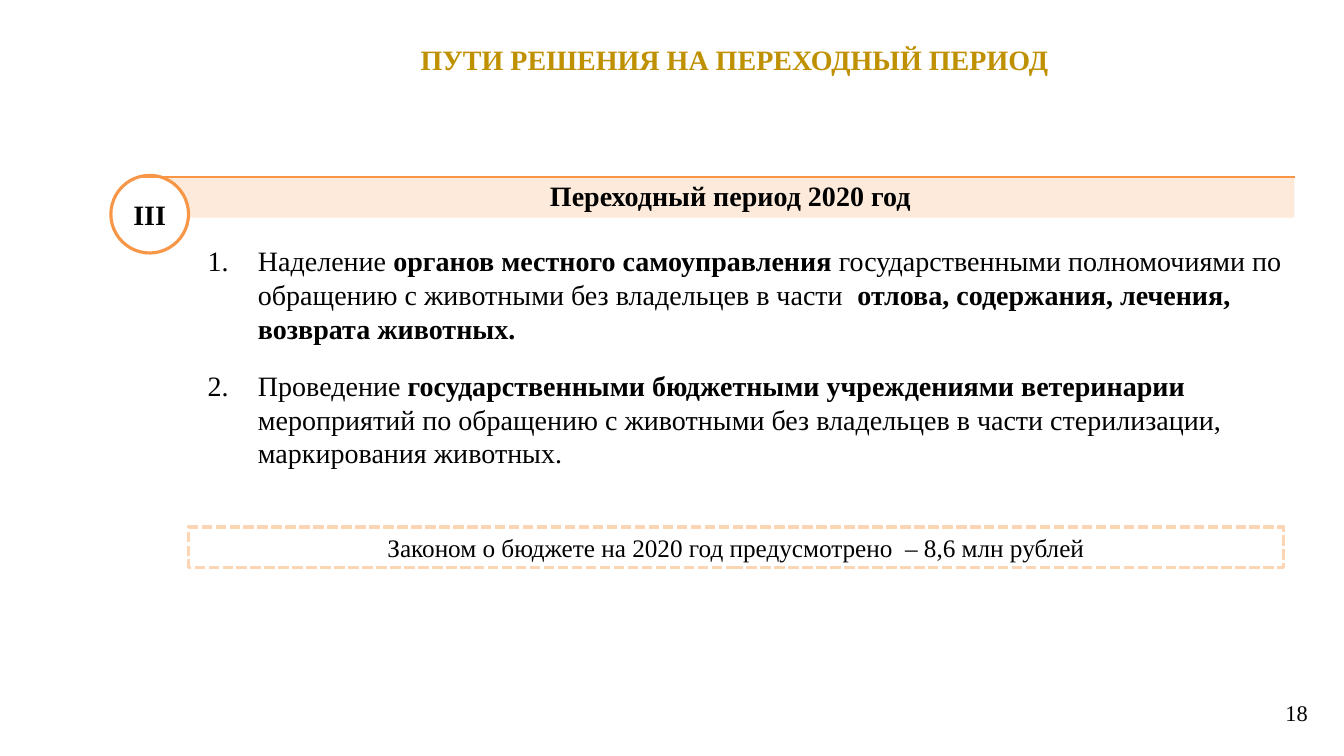
from pptx import Presentation
from pptx.dml.color import RGBColor
from pptx.enum.dml import MSO_LINE as Dash
from pptx.enum.shapes import MSO_CONNECTOR as Conn, MSO_SHAPE as Form
from pptx.enum.text import MSO_ANCHOR as Anchor, MSO_AUTO_SIZE as Fit, PP_ALIGN as Align
from pptx.oxml.ns import qn
from pptx.util import Pt
from lxml.etree import SubElement as sub

PX = 9144
FACE = "Times New Roman"
ITEMS = [
    [("Наделение ", False), ("органов местного самоуправления ", True),
     ("государственными полномочиями по обращению с животными без владельцев в части  ", False),
     ("отлова, содержания, лечения, возврата животных.", True)],
    [("Проведение ", False), ("государственными бюджетными учреждениями ветеринарии ", True),
     ("мероприятий по обращению с животными без владельцев в части стерилизации, "
      "маркирования животных.", False)],
]


def rgb(code):
    """Turn a hex string into a colour."""
    return RGBColor.from_string(code)


def box(*at):
    """Scale lengths in px to EMU."""
    return [n * PX for n in at]


def style(item, **vals):
    """Set each given value on an item."""
    for key, val in vals.items():
        setattr(item, key, val)


def write(para, text, size=20, bold=False, hue="000000"):
    """Add one styled run to a paragraph."""
    run = para.add_run()
    run.text = text
    style(run.font, name=FACE, size=Pt(size), bold=bold)
    run.font.color.rgb = rgb(hue)


def fill_text(shape, text, align=Align.CENTER, anchor=Anchor.TOP, **look):
    """Put one aligned line of text in a shape."""
    frame = shape.text_frame
    style(frame, word_wrap=True, auto_size=Fit.NONE, vertical_anchor=anchor)
    para = frame.paragraphs[0]
    para.alignment = align
    write(para, text, **look)
    return para


def add_form(slide, form, at, fill, line=None, width=0, dash=None):
    """Add a flat shape with an optional outline."""
    shape = slide.shapes.add_shape(form, *box(*at))
    shape.shadow.inherit = False
    shape.fill.solid()
    shape.fill.fore_color.rgb = rgb(fill)
    if line:
        shape.line.color.rgb = rgb(line)
        style(shape.line, width=Pt(width), dash_style=dash)
    else:
        shape.line.fill.background()
    return shape


def add_rule(slide, ends, hue, width):
    """Add a straight line without a shadow."""
    rule = slide.shapes.add_connector(Conn.STRAIGHT, *box(*ends))
    rule.line.color.rgb = rgb(hue)
    rule.line.width = Pt(width)
    sub(rule._element.spPr, qn("a:effectLst"))


def add_list(slide, at, items, gap):
    """Add a numbered list of mixed bold and plain runs."""
    frame = slide.shapes.add_textbox(*box(*at)).text_frame
    frame.word_wrap = True
    for i, runs in enumerate(items):
        para = frame.add_paragraph() if i else frame.paragraphs[0]
        props = para._p.get_or_add_pPr()
        props.set("marL", str(50 * PX))
        props.set("indent", str(-50 * PX))
        sub(props, qn("a:buFont"), typeface="+mj-lt")
        sub(props, qn("a:buAutoNum"), type="arabicPeriod")
        if i:
            para.space_before = Pt(gap)
        for text, bold in runs:
            write(para, text, bold=bold)


def main():
    """Build the slide and save it."""
    deck = Presentation()
    style(deck, slide_width=1333 * PX, slide_height=750 * PX)
    slide = deck.slides.add_slide(deck.slide_layouts[5])
    title = slide.shapes.title
    spot = dict(zip(("left", "top", "width", "height"), box(138, 37, 1181, 44)))
    style(title, **spot)
    fill_text(title, "ПУТИ РЕШЕНИЯ НА ПЕРЕХОДНЫЙ ПЕРИОД", bold=True, hue="BF9000")
    band = add_form(slide, Form.RECTANGLE, (158, 176, 1126, 40), "FDEADA")
    para = fill_text(band, " Переходный период 2020 год", bold=True)
    para.line_spacing = 0.9
    add_list(slide, (196, 237, 1098, 236), ITEMS, 17)
    badge = add_form(slide, Form.OVAL, (110, 174, 77, 77), "FFFFFF", "F79646", 2.25)
    fill_text(badge, "III", anchor=Anchor.MIDDLE, bold=True)
    add_rule(slide, (138, 176, 1284, 176), "F79646", 1.5)
    page = slide.shapes.add_textbox(*box(996, 681, 311, 52))
    fill_text(page, "18", Align.RIGHT, Anchor.MIDDLE, size=16)
    note = add_form(slide, Form.RECTANGLE, (187, 523, 1086, 40), "FFFFFF",
                    "FCD5B5", 2.5, Dash.SQUARE_DOT)
    fill_text(note, "Законом о бюджете на 2020 год предусмотрено  – 8,6 млн рублей", size=18)
    deck.save("out.pptx")


if __name__ == "__main__":
    main()
